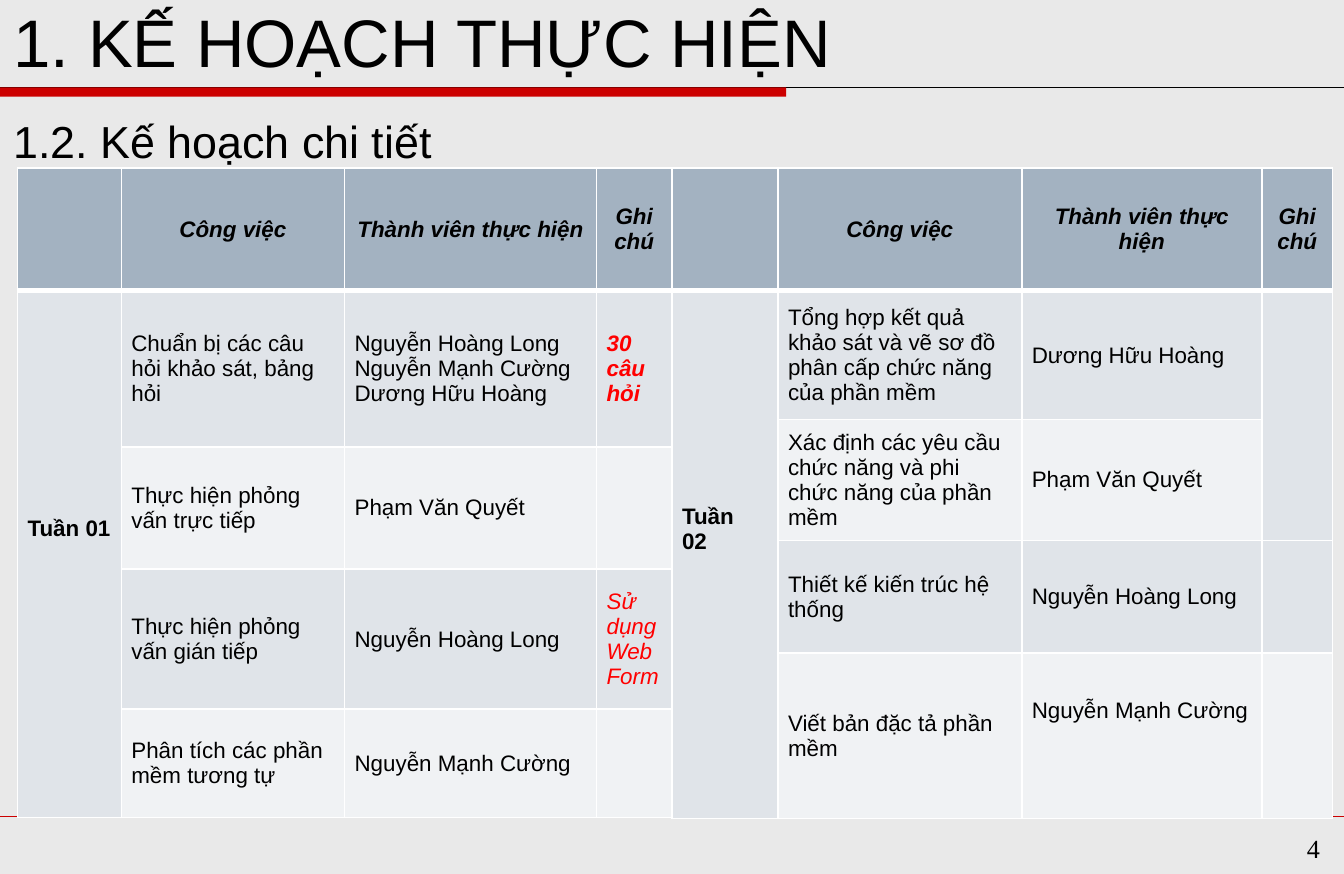
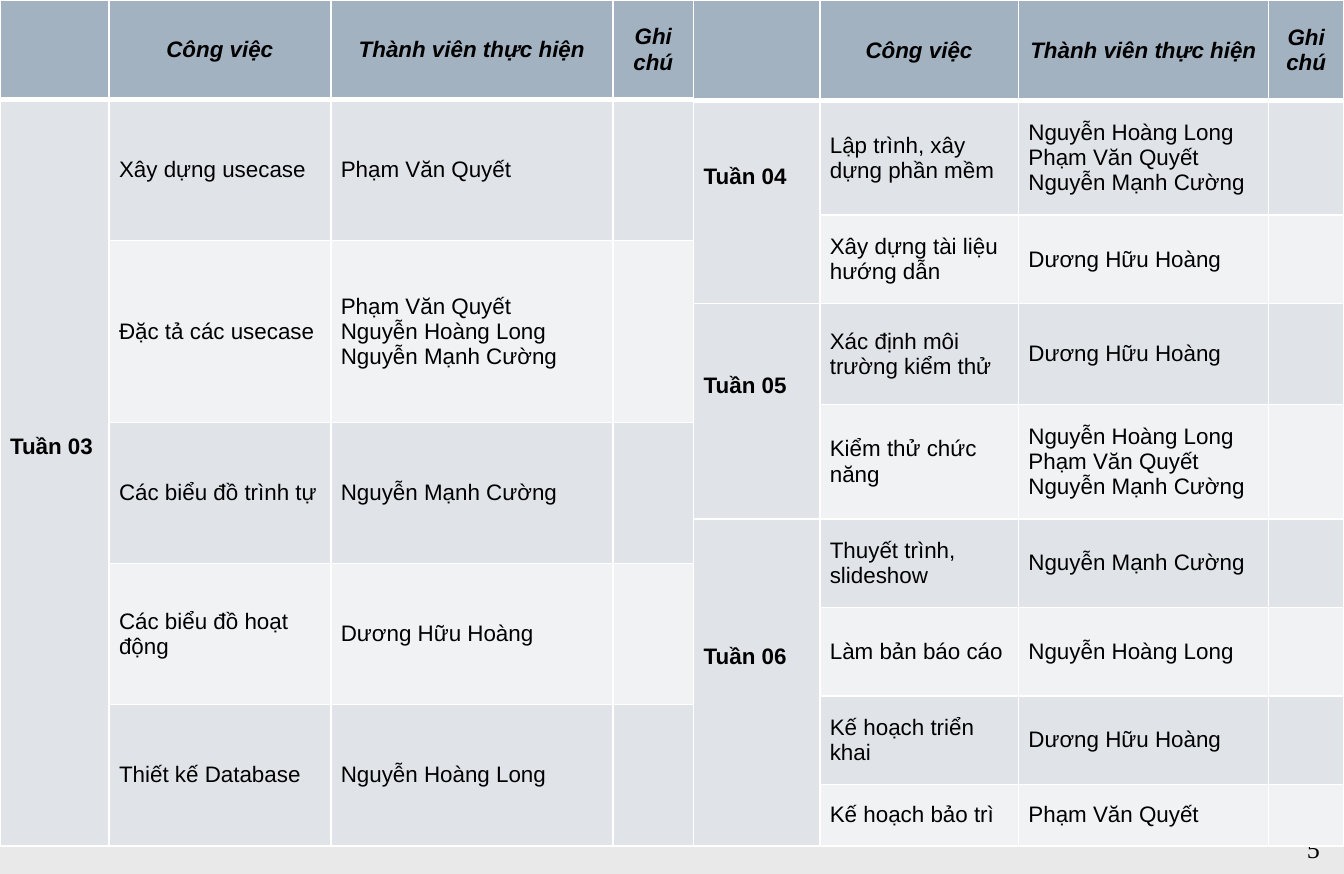
import lxml.etree
import pptx
import pptx.dml.color
import pptx.enum.shapes
import pptx.enum.text
import pptx.oxml.ns
import pptx.util

Pt = pptx.util.Pt
qn = pptx.oxml.ns.qn
ALIGN = pptx.enum.text.PP_ALIGN
ANCHOR = pptx.enum.text.MSO_ANCHOR

# Shared look
WIDTH, HEIGHT = 720, 468
PAPER, BLACK, WHITE, RED, NOTE = "E9E9E9", "000000", "FFFFFF", "CC0000", "FF0000"
HEAD, BANDS = "A3B2C1", ("F0F2F4", "E0E4E9")
TITLE = {"size": Pt(36), "name": "Arial"}
LEAD = {"size": Pt(24), "name": "Arial"}
PAGE = {"size": Pt(14), "name": "Times New Roman"}
CELL = {"size": Pt(12), "name": "Arial", "bold": False, "italic": False}
STRONG = {**CELL, "bold": True}
TOP = {**STRONG, "italic": True}
SIDE, EDGE = 5.4, 3.6      # cell margins
LIFT = 31.2                # bottom margin that raises text by one line

# Team and plan: (week, [(task, members, note, note is bold)])
LONG, CUONG = "Nguyễn Hoàng Long", "Nguyễn Mạnh Cường"
HOANG, QUYET = "Dương Hữu Hoàng", "Phạm Văn Quyết"
LABELS = ("Công việc", "Thành viên thực hiện", "Ghi chú")

WEEK_1 = [("Tuần 01", [
    ("Chuẩn bị các câu hỏi khảo sát, bảng hỏi", [LONG, CUONG, HOANG], "30 câu hỏi", True),
    ("Thực hiện phỏng vấn trực tiếp", [QUYET]),
    ("Thực hiện phỏng vấn gián tiếp", [LONG], "Sử dụng Web Form", False),
    ("Phân tích các phần mềm tương tự", [CUONG])])]
WEEK_2 = [("Tuần 02", [
    ("Tổng hợp kết quả khảo sát và vẽ sơ đồ phân cấp chức năng của phần mềm", [HOANG]),
    ("Xác định các yêu cầu chức năng và phi chức năng của phần mềm", [QUYET]),
    ("Thiết kế kiến trúc hệ thống", [LONG]),
    ("Viết bản đặc tả phần mềm", [CUONG])])]
WEEK_3 = [("Tuần 03", [
    ("Xây dựng usecase", [QUYET]),
    ("Đặc tả các usecase", [QUYET, LONG, CUONG]),
    ("Các biểu đồ trình tự", [CUONG]),
    ("Các biểu đồ hoạt động", [HOANG]),
    ("Thiết kế Database", [LONG])])]
WEEKS_4_6 = [
    ("Tuần 04", [
        ("Lập trình, xây dựng phần mềm", [LONG, QUYET, CUONG]),
        ("Xây dựng tài liệu hướng dẫn", [HOANG])]),
    ("Tuần 05", [
        ("Xác định môi trường kiểm thử", [HOANG]),
        ("Kiểm thử chức năng", [LONG, QUYET, CUONG])]),
    ("Tuần 06", [
        ("Thuyết trình, slideshow", [CUONG]),
        ("Làm bản báo cáo", [LONG]),
        ("Kế hoạch triển khai", [HOANG]),
        ("Kế hoạch bảo trì", [QUYET])])]


def rgb(code):
    return pptx.dml.color.RGBColor.from_string(code)


def paint(fill, code):
    fill.solid()
    fill.fore_color.rgb = rgb(code)


def write(frame, lines, look, color=BLACK, align=ALIGN.LEFT):
    frame.word_wrap = True
    for i, line in enumerate(lines):
        para = frame.paragraphs[0] if i == 0 else frame.add_paragraph()
        para.alignment = align
        run = para.add_run()
        run.text = line
        for key, value in look.items():
            setattr(run.font, key, value)
        run.font.color.rgb = rgb(color)


def place(shape, left, top, width, height):
    spots = {"left": left, "top": top, "width": width, "height": height}
    for key, value in spots.items():
        setattr(shape, key, Pt(value))


# Rules, bar and page number
def rule(slide, top, color, weight):
    line = slide.shapes.add_connector(
        pptx.enum.shapes.MSO_CONNECTOR.STRAIGHT, 0, Pt(top), Pt(WIDTH), Pt(top))
    line.line.color.rgb = rgb(color)
    line.line.width = Pt(weight)
    lxml.etree.SubElement(line._element.spPr, qn("a:effectLst"))


def frame_page(slide, number):
    rule(slide, 46.8, BLACK, 0.75)
    bar = slide.shapes.add_shape(
        pptx.enum.shapes.MSO_SHAPE.RECTANGLE, 0, Pt(46.8), Pt(421.2), Pt(5))
    bar.shadow.inherit = False
    paint(bar.fill, RED)
    bar.line.fill.background()
    rule(slide, 437, RED, 0.25)
    box = slide.shapes.add_textbox(Pt(642.2), Pt(442), Pt(72), Pt(22.4))
    write(box.text_frame, [str(number)], PAGE, align=ALIGN.RIGHT)


# Title and lead line
def headline(slide, title, lead):
    head, body = slide.placeholders
    place(head, 0, 5, WIDTH, 41.8)
    place(body, 0, 57, WIDTH, 374.4)
    for shape, text, look, anchor in ((head, title, TITLE, ANCHOR.BOTTOM),
                                      (body, lead, LEAD, ANCHOR.TOP)):
        frame = shape.text_frame
        frame.auto_size = pptx.enum.text.MSO_AUTO_SIZE.NONE
        frame.vertical_anchor = anchor
        write(frame, [text], look)
    props = body.text_frame.paragraphs[0]._p.get_or_add_pPr()
    props.set("marL", "0")
    props.set("indent", "0")
    lxml.etree.SubElement(props, qn("a:buNone"))


# Table parts
def style(cell, row, color):
    props = cell._tc.get_or_add_tcPr()
    widths = {"L": 1, "R": 1, "T": 3 if row == 1 else 1, "B": 3 if row == 0 else 1}
    for edge, width in widths.items():
        line = lxml.etree.SubElement(props, qn("a:ln" + edge), w=str(Pt(width)))
        solid = lxml.etree.SubElement(line, qn("a:solidFill"))
        lxml.etree.SubElement(solid, qn("a:srgbClr"), val=WHITE)
    paint(cell.fill, color)
    cell.vertical_anchor = ANCHOR.MIDDLE
    margins = {"left": SIDE, "right": SIDE, "top": EDGE, "bottom": EDGE}
    for key, value in margins.items():
        setattr(cell, "margin_" + key, Pt(value))


def add_plan(slide, left, top, cols, rows, plan, side=SIDE):
    """Draw one plan; side is the right margin of the week cells."""
    table = slide.shapes.add_table(
        len(rows), len(cols), Pt(left), Pt(top), Pt(sum(cols)), Pt(sum(rows))).table
    for col, width in zip(table.columns, cols):
        col.width = Pt(width)
    for i, height in enumerate(rows):
        table.rows[i].height = Pt(height)
        for j in range(len(cols)):
            style(table.cell(i, j), i, BANDS[i % 2] if i else HEAD)
    for j, label in enumerate(LABELS, 1):
        write(table.cell(0, j).text_frame, [label], TOP, align=ALIGN.CENTER)
    row = 1
    for week, tasks in plan:
        first = table.cell(row, 0)
        first.merge(table.cell(row + len(tasks) - 1, 0))
        first.margin_right, first.margin_bottom = Pt(side), Pt(LIFT)
        write(first.text_frame, [week], STRONG)
        for task, team, *note in tasks:
            write(table.cell(row, 1).text_frame, [task], CELL)
            write(table.cell(row, 2).text_frame, team, CELL)
            if note:
                text, bold = note
                look = {**CELL, "bold": bold, "italic": True}
                write(table.cell(row, 3).text_frame, [text], look, NOTE)
            row += 1
    return table


def main():
    deck = pptx.Presentation()
    deck.slide_width, deck.slide_height = Pt(WIDTH), Pt(HEIGHT)
    paint(deck.slide_master.background.fill, PAPER)

    # Weeks 1 and 2
    slide = deck.slides.add_slide(deck.slide_layouts[1])
    headline(slide, "1. KẾ HOẠCH THỰC HIỆN", "1.2. Kế hoạch chi tiết")
    frame_page(slide, 4)
    add_plan(slide, 9.4, 90, (55.6, 119.6, 135, 40.4),
             (65.8, 83.6, 65.4, 75, 58), WEEK_1, side=3)
    table = add_plan(slide, 360, 90, (56.8, 130.6, 128.6, 38),
                     (65.8, 68.8, 64, 60.4, 88.6), WEEK_2, side=8)
    table.cell(1, 3).merge(table.cell(2, 3))
    table.cell(4, 2).margin_bottom = Pt(LIFT)

    # Weeks 3 to 6
    slide = deck.slides.add_slide(deck.slide_layouts[6])
    frame_page(slide, 5)
    add_plan(slide, 0, 0, (58.4, 118.8, 151.2, 43.2),
             (53.2, 75.6, 97.4, 75.6, 75.6, 75.6), WEEK_3)
    add_plan(slide, 371.6, 0, (67.6, 106.4, 134, 40.4),
             (54, 61.2, 47.4, 54, 61.2, 47.4, 47.4, 47.4, 33), WEEKS_4_6)

    deck.save("out.pptx")


if __name__ == "__main__":
    main()
